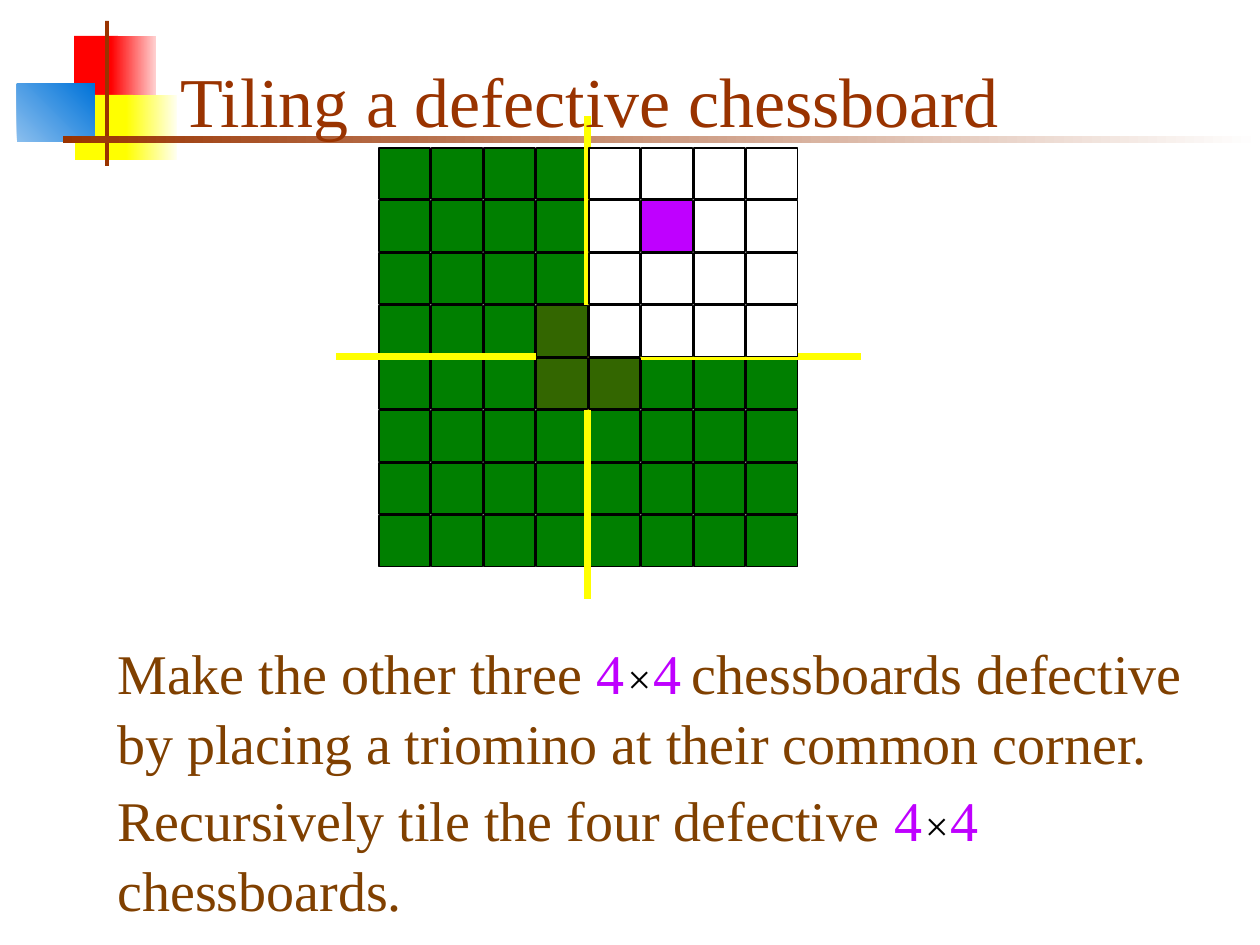
from lxml import etree
from pptx import Presentation
from pptx.dml.color import RGBColor
from pptx.enum.shapes import MSO_CONNECTOR, MSO_SHAPE
from pptx.enum.text import MSO_ANCHOR
from pptx.oxml.ns import qn
from pptx.util import Pt

SCALE = 914400 / 126
FONT = "Times New Roman"

RED = RGBColor(0xFF, 0x00, 0x00)
PINK = RGBColor(0xFF, 0xD1, 0xD1)
YELLOW = RGBColor(0xFF, 0xFF, 0x00)
CREAM = RGBColor(0xFF, 0xFF, 0xF0)
LIGHT_BLUE = RGBColor(0x8B, 0xBF, 0xEE)
BLUE = RGBColor(0x00, 0x73, 0xD9)
RUST = RGBColor(0x99, 0x33, 0x00)
WHITE = RGBColor(0xFF, 0xFF, 0xFF)
BLACK = RGBColor(0x00, 0x00, 0x00)
GREEN = RGBColor(0x00, 0x7F, 0x00)
OLIVE = RGBColor(0x33, 0x66, 0x00)
PURPLE = RGBColor(0xBF, 0x00, 0xFF)
BROWN = RGBColor(0x80, 0x40, 0x00)

# Content
TITLE = "Tiling a defective chessboard"
STEPS = [  # top, text before and after the board size
    (630, "Make the other three ",
     " chessboards defective by placing a triomino at their common corner."),
    (777, "Recursively tile the four defective ", " chessboards."),
]
DECORATION = [  # left, top, width, height, colours, angle
    (74, 36, 44, 65, [RED], 0),
    (111, 36, 45, 65, [RED, PINK], 0),
    (75, 95, 58, 65, [YELLOW], 0),
    (126, 95, 51, 65, [YELLOW, CREAM], 0),
    (17, 84, 78, 58, [LIGHT_BLUE, BLUE], 45),
    (105, 21, 4, 145, [RUST], 0),
    (63, 136, 1197, 7, [RUST, WHITE], 0),
]
BOARD = [
    "GGGGWWWW",
    "GGGGWPWW",
    "GGGGWWWW",
    "GGGOWWWW",
    "GGGOOGGG",
    "GGGGGGGG",
    "GGGGGGGG",
    "GGGGGGGG",
]
CELL_COLORS = {"G": GREEN, "W": WHITE, "P": PURPLE, "O": OLIVE}
BOARD_LEFT, BOARD_TOP, BOARD_SIZE, CELL = 379, 148, 420, 51
DIVIDERS = [(588, 116, 588, 599), (336, 357, 861, 357)]


def px(value):
    return round(value * SCALE)


def add_rectangle(left, top, width, height, colors, angle=0, outline=None):
    shape = slide.shapes.add_shape(
        MSO_SHAPE.RECTANGLE, px(left), px(top), px(width), px(height))
    shape.shadow.inherit = False
    if len(colors) == 1:
        shape.fill.solid()
        shape.fill.fore_color.rgb = colors[0]
    else:
        shape.fill.gradient()
        shape.fill.gradient_angle = angle
        for stop, color in zip(shape.fill.gradient_stops, colors):
            stop.color.rgb = color
    if outline is None:
        shape.line.fill.background()
    else:
        shape.line.color.rgb = outline
        shape.line.width = Pt(1)


def add_cells(kinds):
    pitch = BOARD_SIZE / len(BOARD)
    for row, cells in enumerate(BOARD):
        for column, kind in enumerate(cells):
            if kind in kinds:
                add_rectangle(BOARD_LEFT + column * pitch, BOARD_TOP + row * pitch,
                              CELL, CELL, [CELL_COLORS[kind]], outline=BLACK)


def add_text(left, top, width, height, runs, anchor=MSO_ANCHOR.TOP):
    box = slide.shapes.add_textbox(px(left), px(top), px(width), px(height))
    frame = box.text_frame
    frame.word_wrap = True
    frame.vertical_anchor = anchor
    paragraph = frame.paragraphs[0]
    paragraph.font.name = FONT
    for text, size, color, italic in runs:
        run = paragraph.add_run()
        run.text = text
        run.font.name = FONT
        run.font.size = Pt(size)
        run.font.color.rgb = color
        run.font.italic = italic
    return paragraph


presentation = Presentation()
presentation.slide_width, presentation.slide_height = px(1260), px(945)
slide = presentation.slides.add_slide(presentation.slide_layouts[6])

# Corner decoration
for left, top, width, height, colors, angle in DECORATION:
    add_rectangle(left, top, width, height, colors, angle)

# Board: dividers lie between the green cells and the others
add_cells("G")
for x1, y1, x2, y2 in DIVIDERS:
    divider = slide.shapes.add_connector(
        MSO_CONNECTOR.STRAIGHT, px(x1), px(y1), px(x2), px(y2))
    divider.line.color.rgb = YELLOW
    divider.line.width = Pt(4)
    etree.SubElement(divider._element.spPr, qn("a:effectLst"))
add_cells("WPO")

# Steps
for top, before, after in STEPS:
    paragraph = add_text(105, top, 1124, 147, [
        (before, 32, BROWN, False),
        ("4", 32, PURPLE, False),
        ("×", 24, BLACK, True),
        ("4", 32, PURPLE, False),
        (after[:1], 24, PURPLE, False),
        (after[1:], 32, BROWN, False),
    ])
    paragraph.space_before = Pt(3)
    paragraph.line_spacing = 1.04

# Title
add_text(168, 32, 1074, 116, [(TITLE, 40, RUST, False)], MSO_ANCHOR.BOTTOM)

presentation.save("out.pptx")
